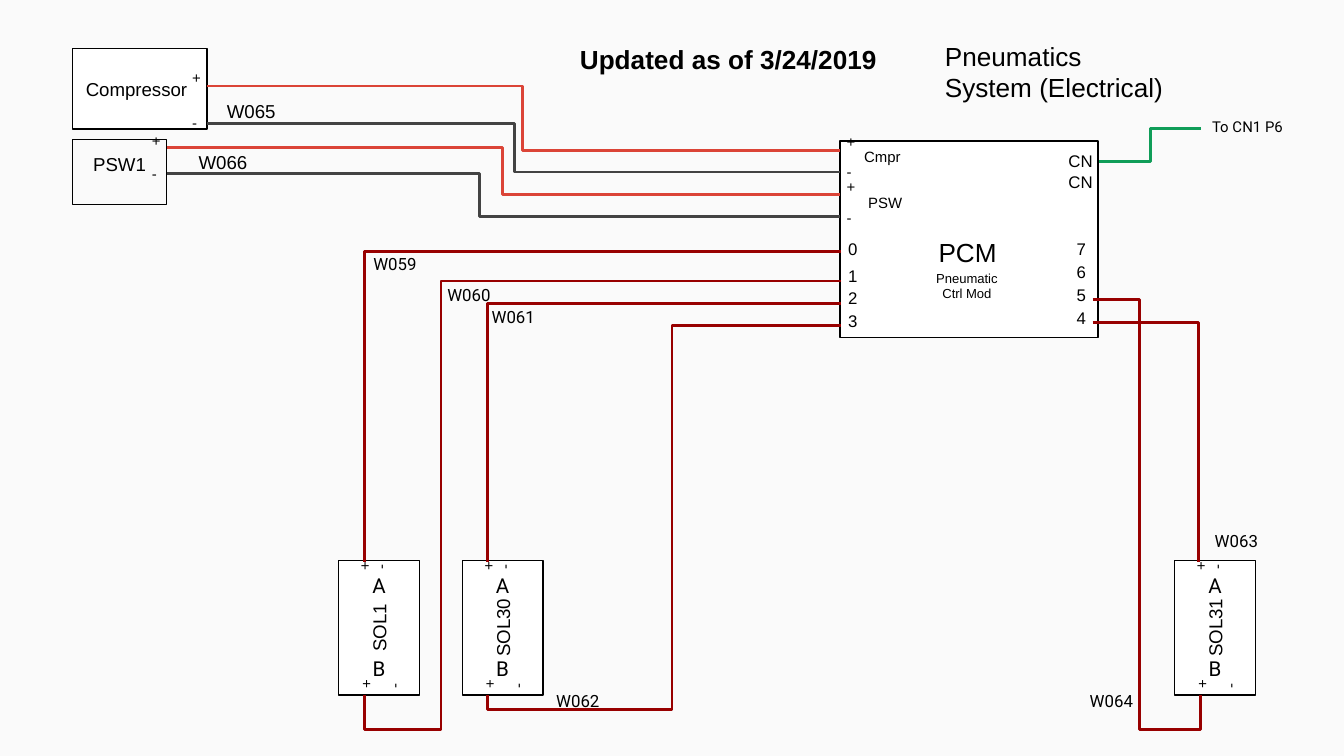
from lxml import etree
from pptx import Presentation
from pptx.dml.color import RGBColor
from pptx.enum.shapes import MSO_CONNECTOR, MSO_SHAPE
from pptx.enum.text import MSO_ANCHOR, PP_ALIGN
from pptx.oxml.ns import qn
from pptx.util import Inches, Pt

RECTANGLE = MSO_SHAPE.RECTANGLE
ELBOW = MSO_CONNECTOR.ELBOW
TOP, MIDDLE = MSO_ANCHOR.TOP, MSO_ANCHOR.MIDDLE
LEFT, CENTER = PP_ALIGN.LEFT, PP_ALIGN.CENTER

BLACK, WHITE, PAPER = "000000", "FFFFFF", "FAFAFA"
RED, GRAY, DARK_RED, GREEN = "DB4437", "434343", "980000", "0F9D58"

color = RGBColor.from_string


def write(shape, text, size, font="Arial", bold=False, align=LEFT, anchor=TOP,
          margins=(0.1, 0.1, 0.1, 0.1), rotation=0):
    """Fill a shape with one formatted paragraph; margins run left, top, right, bottom."""
    shape.rotation = rotation
    frame = shape.text_frame
    frame.text = text
    frame_format = {"word_wrap": True, "vertical_anchor": anchor}
    for side, margin in zip(("left", "top", "right", "bottom"), margins):
        frame_format["margin_" + side] = Inches(margin)
    for name, value in frame_format.items():
        setattr(frame, name, value)
    paragraph = frame.paragraphs[0]
    paragraph.alignment = align
    run_font = paragraph.runs[0].font
    for name, value in {"name": font, "size": Pt(size), "bold": bold}.items():
        setattr(run_font, name, value)
    run_font.color.rgb = color(BLACK)


def add_box(bounds, outlined=True):
    box = slide.shapes.add_shape(RECTANGLE, *map(Inches, bounds))
    box.shadow.inherit = False
    box.fill.solid()
    box.fill.fore_color.rgb = color(WHITE)
    if outlined:
        box.line.color.rgb = color(BLACK)
        box.line.width = Pt(0.75)
    else:
        box.line.fill.background()
    return box


presentation = Presentation()
presentation.slide_width = Inches(10)
presentation.slide_height = Inches(10) * 9 // 16
slide = presentation.slides.add_slide(presentation.slide_layouts[5])
slide.background.fill.solid()
slide.background.fill.fore_color.rgb = color(PAPER)

title = slide.shapes.title
title.left, title.top, title.width, title.height = map(Inches, (6.93, 0.2, 1.92, 0.83))
write(title, "Pneumatics System (Electrical)", 14)

# Components
add_box((6.25, 1.05, 1.92, 1.46))
write(add_box((6.78, 1.66, 0.84, 0.38), outlined=False), "PCM", 14, align=CENTER)
pressure_switch = add_box((0.54, 1.04, 0.7, 0.48))
pressure_switch.fill.background()
write(pressure_switch, "PSW1", 10, align=CENTER)
write(add_box((0.54, 0.36, 1, 0.6)), "Compressor", 10, anchor=MIDDLE)

# Labels grouped by format
tight = {"margins": (0, 0, 0, 0)}
pole = {"size": 8, "anchor": MIDDLE, "margins": (0.05, 0.05, 0.05, 0.05)}
turned_pole = {**pole, "rotation": 270}
port = {"size": 8, **tight}
bus = {"size": 9, **tight}
left_channel = {"size": 9, "margins": (0.05, 0, 0, 0)}
right_channel = {"size": 9, "margins": (0, 0, 0.05, 0)}
cable = {"size": 10}
wire_name = {"size": 9, "font": "Roboto"}
coil = {"size": 11, "font": "Roboto", "align": CENTER, **tight}

labels = [
    ("Cmpr", (6.43, 1.1, 0.36, 0.19), port),
    ("PSW", (6.46, 1.44, 0.32, 0.19), port),
    ("CN", (7.95, 1.12, 0.23, 0.17), bus),
    ("CN", (7.95, 1.28, 0.23, 0.17), bus),
    ("W065", (1.59, 0.66, 0.77, 0.27), cable),
    ("W066", (1.38, 1.04, 0.6, 0.23), cable),
    ("+", (1.38, 0.45, 0.16, 0.25), pole),
    ("-", (1.38, 0.79, 0.16, 0.25), pole),
    ("+", (1.08, 0.96, 0.16, 0.17), pole),
    ("-", (1.08, 1.21, 0.16, 0.17), pole),
    ("Pneumatic Ctrl Mod", (6.81, 1.91, 0.77, 0.32), {"size": 7, "align": CENTER}),
    ("To CN1 P6", (8.92, 0.81, 0.84, 0.27), {"size": 8, "font": "Roboto"}),
    ("Updated as of 3/24/2019", (4.16, 0.22, 2.52, 0.36),
     {"size": 14, "bold": True, "align": CENTER}),
]
for sign, top in zip("+-+-", (0.98, 1.2, 1.31, 1.54)):
    labels.append((sign, (6.25, top, 0.16, 0.15), pole))
for digit, top in zip("0123", (1.78, 1.98, 2.14, 2.31)):
    labels.append((digit, (6.26, top, 0.12, 0.23), left_channel))
for row, digit in enumerate("7654"):
    labels.append((digit, (8.01, 1.78 + 0.17 * row, 0.12, 0.23), right_channel))
for name, left, top in [("W059", 2.68, 1.81), ("W060", 3.23, 2.04), ("W061", 3.56, 2.21),
                        ("W062", 4.04, 5.06), ("W063", 8.94, 3.87), ("W064", 8.01, 5.06)]:
    labels.append((name, (left, top, 0.6, 0.25), wire_name))

# Solenoids, each with coils A and B
for name, left in [("SOL1", 2.32), ("SOL30", 3.24), ("SOL31", 8.54)]:
    write(add_box((left, 4.37, 1, 0.6)), name, 10, align=CENTER, anchor=MIDDLE, rotation=270)
    labels += [
        ("+", (left + 0.33, 4.11, 0.12, 0.25), turned_pole),
        ("-", (left + 0.45, 4.1, 0.12, 0.25), turned_pole),
        ("+", (left + 0.34, 5.02, 0.12, 0.19), turned_pole),
        ("-", (left + 0.55, 5.02, 0.12, 0.19), turned_pole),
        ("A", (left + 0.41, 4.26, 0.18, 0.19), coil),
        ("B", (left + 0.41, 4.88, 0.18, 0.19), coil),
    ]

for text, bounds, label_format in labels:
    write(slide.shapes.add_textbox(*map(Inches, bounds)), text, **label_format)

# Wires: start, end, colour, then the x and y of the inner bends where there are any
wires = [
    ((1.54, 0.64), (6.25, 1.12), RED, (3.89,)),
    ((1.54, 0.92), (6.25, 1.28), GRAY, (3.83,)),
    ((1.24, 1.29), (6.25, 1.61), GRAY, (3.57,)),
    ((1.24, 1.1), (6.25, 1.45), RED, (3.74,)),
    ((6.26, 2.26), (3.63, 4.18), DARK_RED, ()),
    ((6.26, 1.87), (2.71, 4.18), DARK_RED, ()),
    ((8.13, 2.4), (8.92, 4.18), DARK_RED, ()),
    ((6.26, 2.09), (2.71, 5.17), DARK_RED, (3.28, 5.43)),
    ((6.26, 2.42), (3.63, 5.17), DARK_RED, (5, 5.28)),
    ((8.13, 2.23), (8.93, 5.17), DARK_RED, (8.48, 5.43)),
    ((8.18, 1.2), (8.94, 0.96), GREEN, (8.56,)),
]
for start, end, wire_color, bends in wires:
    wire = slide.shapes.add_connector(ELBOW, *map(Inches, start + end))
    wire.line.color.rgb = color(wire_color)
    wire.line.width = Pt(1.5)
    properties = wire.element.spPr
    geometry = properties.find(qn("a:prstGeom"))
    geometry.set("prst", f"bentConnector{2 + len(bends)}")
    adjustments = geometry.find(qn("a:avLst"))
    for axis, bend in enumerate(bends):
        share = (bend - start[axis]) / (end[axis] - start[axis])
        etree.SubElement(adjustments, qn("a:gd"), name=f"adj{axis + 1}",
                         fmla=f"val {round(share * 100000)}")
    etree.SubElement(properties, qn("a:effectLst"))

presentation.save("out.pptx")
